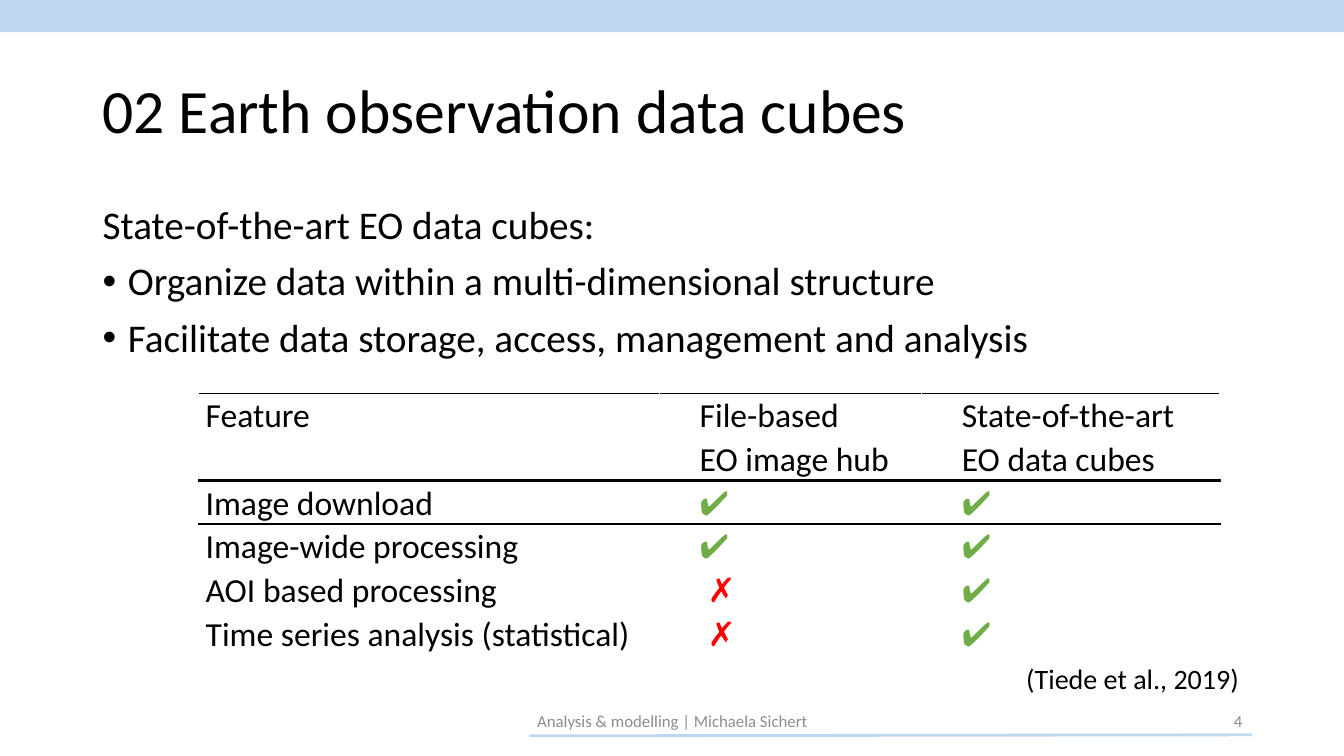
from dataclasses import dataclass

from lxml.etree import SubElement
from pptx import Presentation
from pptx.dml.color import RGBColor
from pptx.enum.shapes import MSO_CONNECTOR, MSO_SHAPE
from pptx.enum.text import MSO_ANCHOR, PP_ALIGN
from pptx.oxml.ns import qn
from pptx.util import Inches, Pt


@dataclass(frozen=True)
class Theme:
    font: str = "Calibri"
    ink: str = "000000"
    accent: str = "BDD7EE"
    muted: str = "8C8C8C"
    yes: str = "70AD47"
    no: str = "FF0000"
    title: int = 44
    body: int = 28
    table: int = 24
    citation: int = 20
    footer: int = 12


THEME = Theme()
YES, NO = "✔", "✗"
FEATURES = [
    ["Feature", "File-based\vEO image hub", "State-of-the-art\vEO data cubes"],
    ["Image download", YES, YES],
    ["Image-wide processing", YES, YES],
    ["AOI based processing", NO, YES],
    ["Time series analysis (statistical)", NO, YES],
]
STATEMENTS = [
    "State-of-the-art EO data cubes:",
    "Organize data within a multi-dimensional structure",
    "Facilitate data storage, access, management and analysis",
]


def style(paragraph, size, color=THEME.ink):
    for run in paragraph.runs:
        run.font.name = THEME.font
        run.font.size = Pt(size)
        run.font.color.rgb = RGBColor.from_string(color)


def indent(paragraph, left, first=0):
    properties = paragraph._p.get_or_add_pPr()
    properties.set("marL", str(Inches(left)))
    properties.set("indent", str(Inches(first)))
    return properties


def add_text(slide, box, text, size, color=THEME.ink, align=PP_ALIGN.LEFT,
             anchor=MSO_ANCHOR.MIDDLE, wrap=True):
    frame = slide.shapes.add_textbox(*map(Inches, box)).text_frame
    frame.word_wrap = wrap
    frame.vertical_anchor = anchor
    frame.text = text
    for paragraph in frame.paragraphs:
        paragraph.alignment = align
        style(paragraph, size, color)
    return frame


def add_band(slide, box):
    band = slide.shapes.add_shape(MSO_SHAPE.RECTANGLE, *map(Inches, box))
    band.shadow.inherit = False
    band.fill.solid()
    band.fill.fore_color.rgb = RGBColor.from_string(THEME.accent)
    band.line.fill.background()


def add_title(slide, box):
    title = add_text(slide, box, "02 Earth observation data cubes", THEME.title)
    title.paragraphs[0].line_spacing = 0.9


def add_statements(slide, box):
    statements = add_text(slide, box, "\n".join(STATEMENTS), THEME.body,
                          anchor=MSO_ANCHOR.TOP)
    for number, statement in enumerate(statements.paragraphs):
        statement.line_spacing = 0.9
        if number:
            statement.space_before = Pt(10)
            properties = indent(statement, 0.25, -0.25)
            SubElement(properties, qn("a:buFont"), typeface="Arial")
            SubElement(properties, qn("a:buChar"), char="•")


def add_border(cell, side, width):
    border = SubElement(cell._tc.get_or_add_tcPr(), qn(f"a:{side}"), w=str(Pt(width)))
    fill = SubElement(border, qn("a:solidFill"))
    SubElement(fill, qn("a:srgbClr"), val=THEME.ink)


def fill_cell(cell, text, row, column):
    cell.margin_left = cell.margin_right = Inches(0.07)
    cell.margin_top = cell.margin_bottom = 0
    if row == 0:
        add_border(cell, "lnT", 1)
        add_border(cell, "lnB", 2.25)
    elif row == 1:
        add_border(cell, "lnT", 2.25)
    cell.fill.background()
    entry = cell.text_frame.paragraphs[0]
    entry.text = text
    entry.line_spacing = 1.07
    if column:
        indent(entry, 0.41 if text == NO else 0.33)
    style(entry, THEME.table, {YES: THEME.yes, NO: THEME.no}.get(text, THEME.ink))


def add_feature_table(slide, box):
    frame = slide.shapes.add_table(len(FEATURES), len(FEATURES[0]), *map(Inches, box))
    features = frame.table
    features.first_row = features.horz_banding = False
    for column, width in zip(features.columns, (4.57, 2.6, 2.96)):
        column.width = Inches(width)
    line_height = box[3] / (len(FEATURES) + 1)
    for row, entries in enumerate(FEATURES):
        features.rows[row].height = Inches(line_height * (1 if row else 2))
        for column, text in enumerate(entries):
            fill_cell(features.cell(row, column), text, row, column)


def add_footer(slide, box):
    left, top, width, height = box
    right = left + width
    rule = slide.shapes.add_connector(
        MSO_CONNECTOR.STRAIGHT, Inches(right), Inches(top + 0.34),
        Inches(right - 7.17), Inches(top + 0.35))
    rule.line.color.rgb = RGBColor.from_string(THEME.accent)
    rule.line.width = Pt(2)
    SubElement(rule._element.spPr, qn("a:effectLst"))
    add_text(slide, (left + 3.5, top, 4.5, height),
             "Analysis & modelling | Michaela Sichert",
             THEME.footer, THEME.muted, PP_ALIGN.CENTER)
    add_text(slide, (right - 3, top, 3, height), "4",
             THEME.footer, THEME.muted, PP_ALIGN.RIGHT)


def main():
    deck = Presentation()
    deck.slide_width, deck.slide_height = Inches(13.33), Inches(7.5)
    slide = deck.slides.add_slide(deck.slide_layouts[6])
    add_title(slide, (0.92, 0.4, 11.5, 1.45))
    add_statements(slide, (0.92, 1.99, 11.5, 1.8))
    add_band(slide, (0, 0, 13.33, 0.32))
    add_footer(slide, (0.92, 6.95, 11.5, 0.4))
    add_feature_table(slide, (1.97, 3.9, 10.13, 2.6))
    add_text(slide, (10.08, 6.51, 2.33, 0.44), "(Tiede et al., 2019)",
             THEME.citation, anchor=MSO_ANCHOR.TOP, wrap=False)
    deck.save("out.pptx")


if __name__ == "__main__":
    main()
